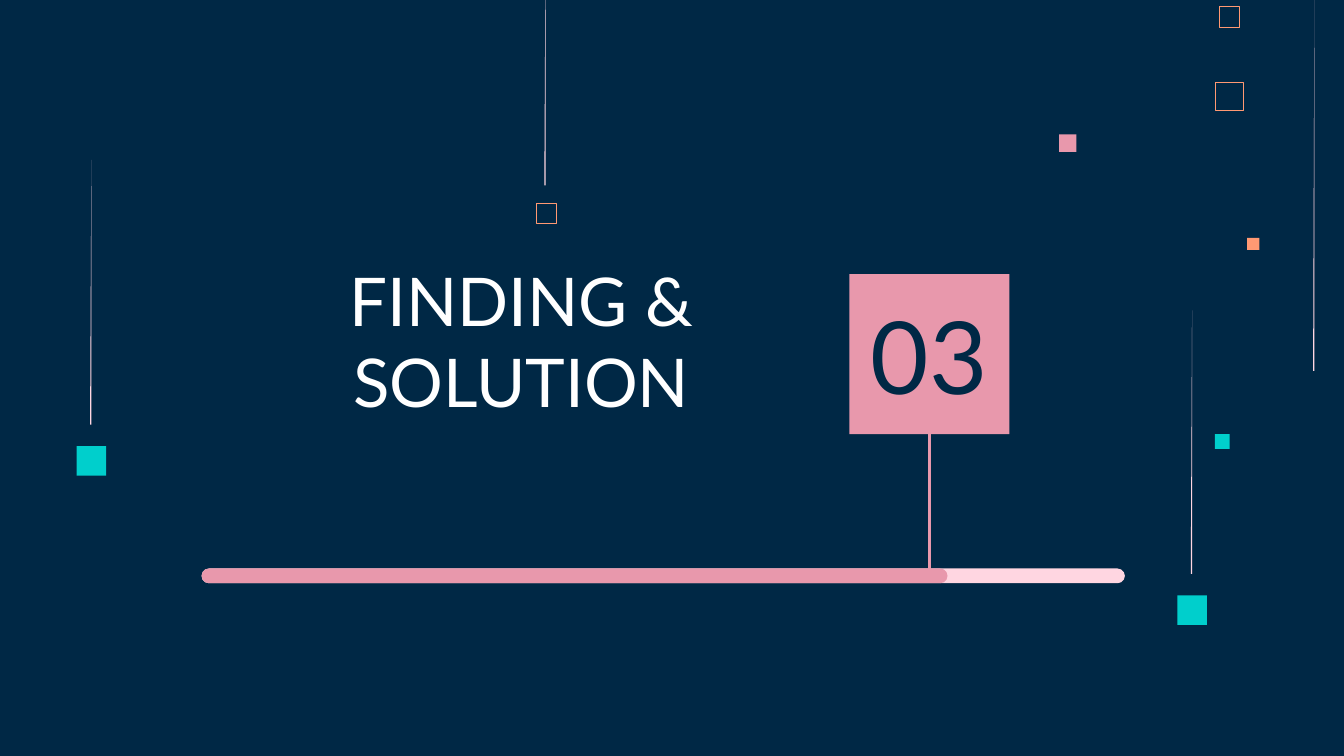
from pptx import Presentation
from pptx.dml.color import RGBColor
from pptx.enum.shapes import MSO_CONNECTOR, MSO_SHAPE
from pptx.enum.text import MSO_ANCHOR, MSO_AUTO_SIZE, PP_ALIGN
from pptx.oxml.ns import qn
from pptx.util import Inches, Pt
from lxml.etree import SubElement

NAVY = RGBColor(0x00, 0x28, 0x45)
PINK = RGBColor(0xE8, 0x98, 0xAC)
PALE_PINK = RGBColor(0xFF, 0xD6, 0xE1)
TEAL = RGBColor(0x00, 0xCF, 0xCC)
ORANGE = RGBColor(0xFF, 0x99, 0x73)
WHITE = RGBColor(0xFF, 0xFF, 0xFF)

FILLED_SQUARES = [
    (7.88, 1, 0.13, PINK),
    (9.04, 3.23, 0.11, TEAL),
    (9.28, 1.77, 0.09, ORANGE),
    (8.76, 4.43, 0.22, TEAL),
    (0.57, 3.32, 0.22, TEAL),
]
OUTLINED_SQUARES = [
    (9.04, 0.61, 0.21, 0.45),
    (9.07, 0.05, 0.15, 0.32),
    (3.99, 1.51, 0.15, 0.32),
]
STREAKS = [
    (4.05, -0.48, 1.38),
    (9.77, 0, 2.76),
    (8.86, 2.31, 4.27),
    (0.67, 1.19, 3.16),
]


def fill_shape(shape, color):
    shape.shadow.inherit = False
    shape.fill.solid()
    shape.fill.fore_color.rgb = color
    shape.line.fill.background()


def add_filled(slide, kind, left, top, width, height, color):
    shape = slide.shapes.add_shape(
        kind, Inches(left), Inches(top), Inches(width), Inches(height))
    fill_shape(shape, color)
    return shape


def add_outlined_square(slide, left, top, side, line_width):
    square = add_filled(slide, MSO_SHAPE.RECTANGLE, left, top, side, side, NAVY)
    square.fill.background()
    square.line.color.rgb = ORANGE
    square.line.width = Pt(line_width)


def add_streak(slide, left, top, bottom):
    right = left + 0.01
    builder = slide.shapes.build_freeform(Inches(right), Inches(top))
    builder.add_line_segments(
        [(Inches(left), Inches(bottom)), (Inches(right), Inches(bottom))])
    fill_shape(builder.convert_to_shape(), PALE_PINK)


def add_bar(slide, width, color):
    bar = add_filled(slide, MSO_SHAPE.ROUNDED_RECTANGLE, 1.5, 4.23, width, 0.11, color)
    bar.adjustments[0] = 0.5


def set_text(shape, text, size, color, anchor, inset):
    frame = shape.text_frame
    frame.word_wrap = True
    frame.auto_size = MSO_AUTO_SIZE.NONE
    frame.vertical_anchor = anchor
    frame.margin_left = frame.margin_right = Inches(inset)
    frame.margin_top = frame.margin_bottom = Inches(inset)
    frame.text = text
    paragraph = frame.paragraphs[0]
    paragraph.alignment = PP_ALIGN.CENTER
    paragraph.font.name = "Lato"
    paragraph.font.size = Pt(size)
    paragraph.font.color.rgb = color


def format_title(slide):
    title = slide.shapes.title
    title.left, title.top = Inches(1.81), Inches(2.31)
    title.width, title.height = Inches(4.14), Inches(0.92)
    set_text(title, "FINDING & SOLUTION", 36, WHITE, MSO_ANCHOR.BOTTOM, 0.1)


def add_number_marker(slide):
    marker = add_filled(slide, MSO_SHAPE.RECTANGLE, 6.32, 2.04, 1.19, 1.19, PINK)
    set_text(marker, "03", 54, NAVY, MSO_ANCHOR.MIDDLE, 0)
    center = marker.left + marker.width // 2
    stem = slide.shapes.add_connector(
        MSO_CONNECTOR.STRAIGHT, center, Inches(3.23), center, Inches(4.3))
    stem.begin_connect(marker, 2)
    stem.line.color.rgb = PINK
    stem.line.width = Pt(1.5)
    SubElement(stem._element.spPr, qn("a:effectLst"))


def main():
    presentation = Presentation()
    presentation.slide_width = Inches(10)
    presentation.slide_height = Inches(10) * 9 // 16
    slide = presentation.slides.add_slide(presentation.slide_layouts[5])
    slide.background.fill.solid()
    slide.background.fill.fore_color.rgb = NAVY

    for left, top, side, color in FILLED_SQUARES:
        add_filled(slide, MSO_SHAPE.RECTANGLE, left, top, side, side, color)
    for square in OUTLINED_SQUARES:
        add_outlined_square(slide, *square)
    for streak in STREAKS:
        add_streak(slide, *streak)

    format_title(slide)
    add_bar(slide, 6.87, PALE_PINK)
    add_bar(slide, 5.55, PINK)
    add_number_marker(slide)
    presentation.save("out.pptx")


if __name__ == "__main__":
    main()
